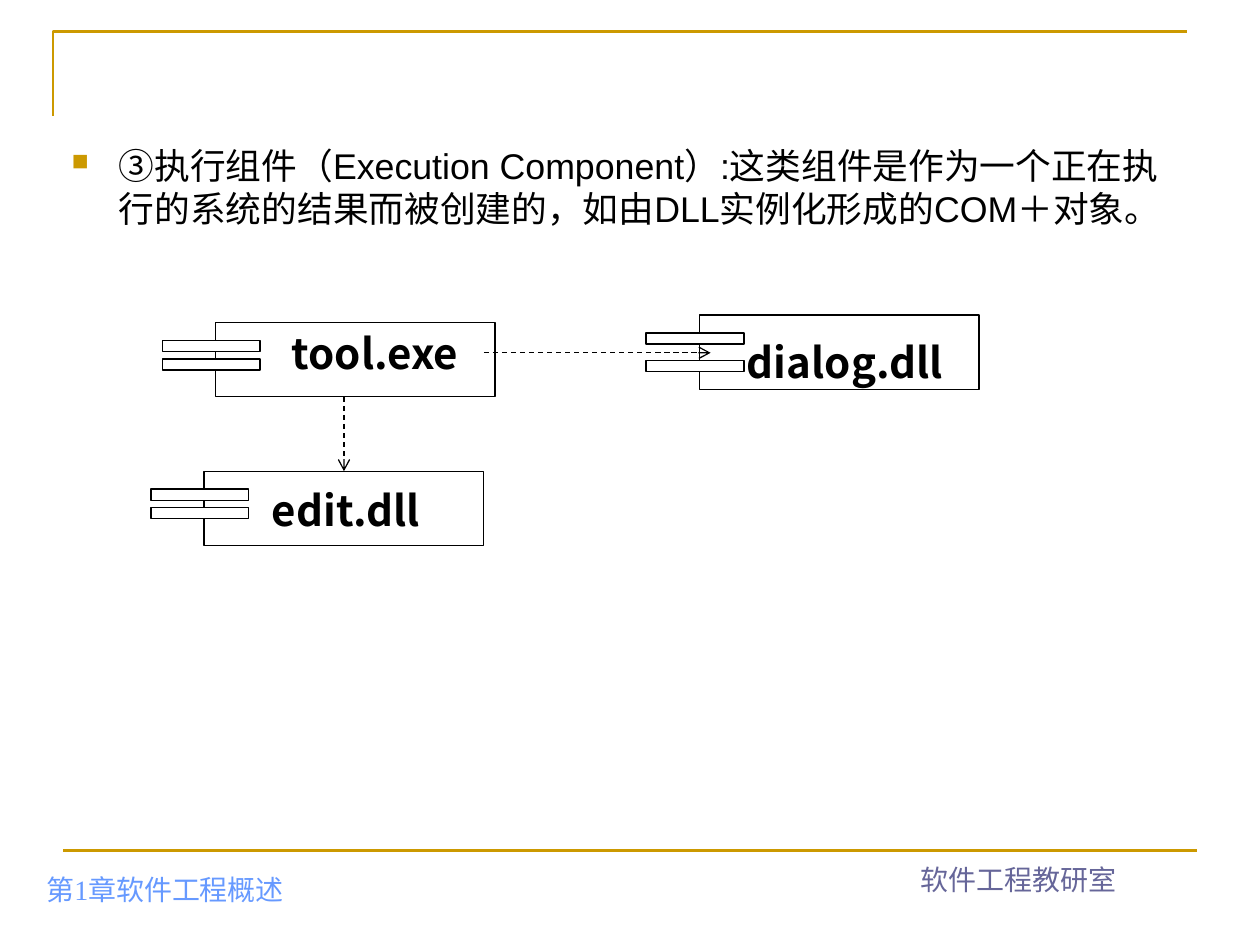
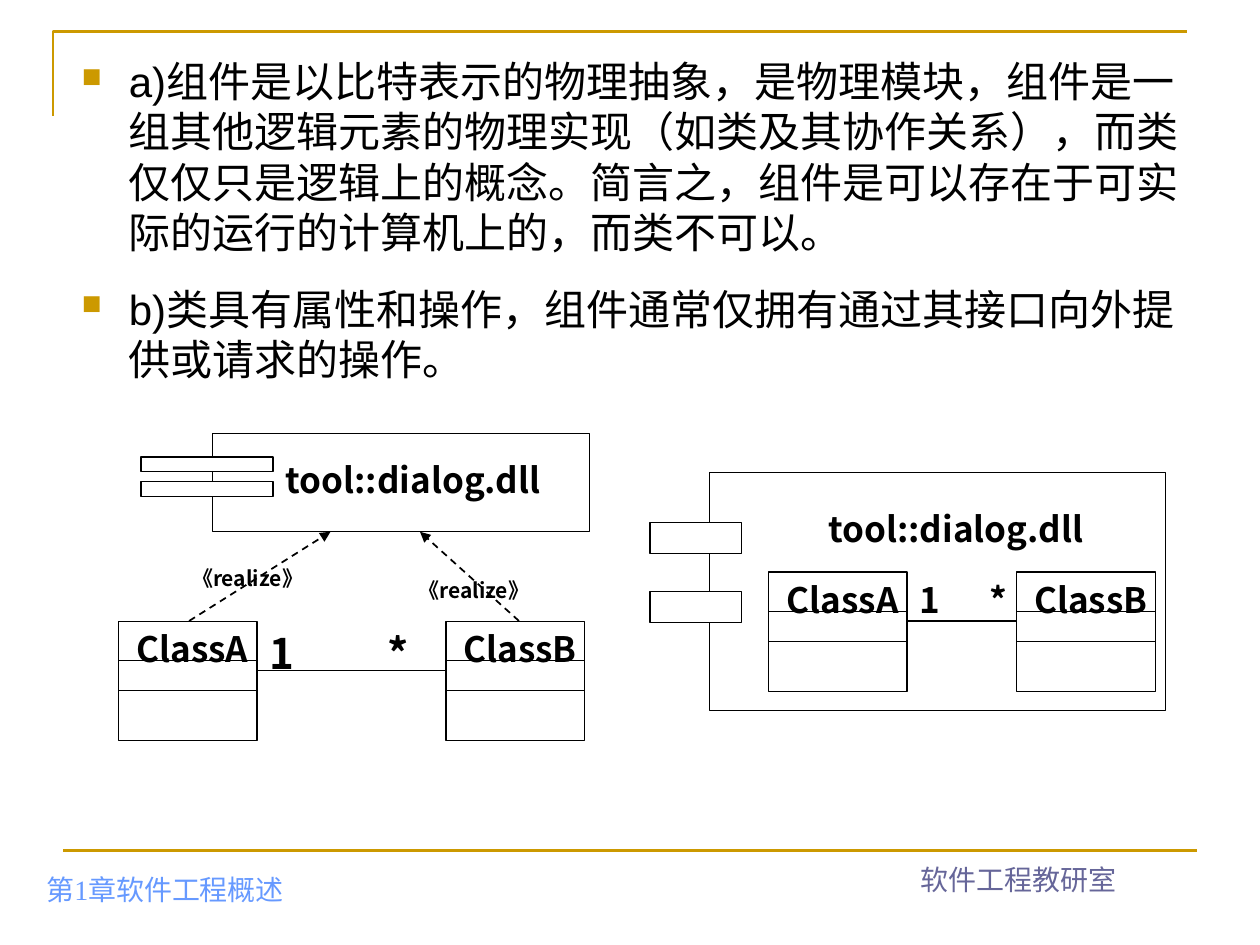
from dataclasses import dataclass

from lxml import etree
from pptx import Presentation
from pptx import util as u
from pptx.dml.color import RGBColor
from pptx.enum import dml, shapes, text
from pptx.oxml import ns

COLUMNS, ROWS = 100, 75
CELL = u.Inches(0.1)  # side of one square grid cell


@dataclass(frozen=True)
class Theme:
    gold: str = "CC9900"
    ink: str = "000000"
    paper: str = "FFFFFF"
    chapter: str = "6699FF"
    department: str = "666699"
    body_font: str = "Arial"
    label_font: str = "Noto Sans CJK SC"
    footer_font: str = "Times New Roman"
    footer_size: float = 16
    small_body_size: float = 20.4
    body_size: float = 24
    large_label: float = 24
    label: float = 20
    small_label: float = 12
    rule: float = 1.5
    outline: float = 0.75
    realize_line: float = 1


THEME = Theme()


@dataclass(frozen=True)
class Box:
    """A region in grid cells."""
    left: float
    top: float
    width: float
    height: float

    def share(self, x, y, width, height):
        return Box(self.left + x * self.width, self.top + y * self.height,
                   width * self.width, height * self.height)

    def point(self, x, y):
        return self.left + x * self.width, self.top + y * self.height

    def lengths(self):
        return cells(self.left, self.top, self.width, self.height)


@dataclass(frozen=True)
class Tabs:
    """The two tabs of a component, as shares of its body."""
    tops: tuple = (0.24, 0.49)
    left: float = -0.19
    width: float = 0.35
    height: float = 0.15


def cells(*counts):
    return [u.Emu(round(count * CELL)) for count in counts]


def colour(code):
    return RGBColor.from_string(code)


def add_element(parent, tag, **attributes):
    return etree.SubElement(parent, ns.qn(tag), attributes)


# Basic parts

def add_rectangle(slide, box, fill=None):
    shape = slide.shapes.add_shape(shapes.MSO_SHAPE.RECTANGLE, *box.lengths())
    shape.shadow.inherit = False
    if fill:
        shape.fill.solid()
        shape.fill.fore_color.rgb = colour(fill)
    else:
        shape.fill.background()
    shape.line.color.rgb = colour(THEME.ink)
    shape.line.width = u.Pt(THEME.outline)


def add_line(slide, start, end, ink=THEME.ink, width=THEME.outline, arrow=None):
    connector = slide.shapes.add_connector(
        shapes.MSO_CONNECTOR.STRAIGHT, *cells(*start, *end))
    connector.line.color.rgb = colour(ink)
    connector.line.width = u.Pt(width)
    properties = connector._element.spPr
    if arrow:
        connector.line.dash_style = dml.MSO_LINE.DASH
        add_element(properties.find(ns.qn("a:ln")), "a:tailEnd", type=arrow)
    add_element(properties, "a:effectLst")


def add_text_frame(slide, box, anchor=text.MSO_ANCHOR.TOP):
    frame = slide.shapes.add_textbox(*box.lengths()).text_frame
    frame.word_wrap = True
    frame.vertical_anchor = anchor
    return frame


def style(paragraph, font, size, ink, bold=False):
    paragraph.font.name = font
    paragraph.font.size = u.Pt(size)
    paragraph.font.color.rgb = colour(ink)
    paragraph.font.bold = bold


def add_label(slide, box, words, size=THEME.label, centred=True, indent=0):
    frame = add_text_frame(slide, box)
    frame.auto_size = text.MSO_AUTO_SIZE.SHAPE_TO_FIT_TEXT
    frame.margin_left += cells(indent)[0]
    paragraph = frame.paragraphs[0]
    paragraph.text = words
    if centred:
        paragraph.alignment = text.PP_ALIGN.CENTER
    style(paragraph, THEME.label_font, size, THEME.ink, bold=True)


# Regions shared by the slides

def add_frame(slide):
    corner = Box(4.2, 2.5, 90, 6.7)
    start, bend, end = (cells(*corner.point(*at)) for at in ((0, 1), (0, 0), (1, 0)))
    builder = slide.shapes.build_freeform(*start)
    builder.add_line_segments([bend, end], close=False)
    outline = builder.convert_to_shape()
    outline.shadow.inherit = False
    outline.fill.background()
    outline.line.color.rgb = colour(THEME.gold)
    outline.line.width = u.Pt(THEME.rule)
    add_line(slide, (5, 67.5), (95, 67.5), THEME.gold, THEME.rule)


def add_footers(slide):
    footers = (
        (Box(2.7, 67.4, 31.5, 5), "第1章软件工程概述", THEME.chapter, text.PP_ALIGN.LEFT),
        (Box(65, 66.6, 31.7, 5), "软件工程教研室", THEME.department, text.PP_ALIGN.CENTER),
    )
    for box, words, ink, alignment in footers:
        paragraph = add_text_frame(slide, box, text.MSO_ANCHOR.BOTTOM).paragraphs[0]
        paragraph.text = words
        paragraph.alignment = alignment
        style(paragraph, THEME.footer_font, THEME.footer_size, ink)


def add_bullets(slide, box, items, size):
    frame = add_text_frame(slide, box)
    for index, words in enumerate(items):
        paragraph = frame.add_paragraph() if index else frame.paragraphs[0]
        paragraph.text = words
        properties = paragraph._p.get_or_add_pPr()
        indent = cells(3.75)[0]
        properties.set("marL", str(indent))
        properties.set("indent", str(-indent))
        add_element(add_element(properties, "a:buClr"), "a:srgbClr", val=THEME.gold)
        add_element(properties, "a:buSzPct", val="65000")
        add_element(properties, "a:buChar", char="■")
        if index:
            paragraph.space_before = u.Pt(15)
        style(paragraph, THEME.body_font, size, THEME.ink)


def new_slide(presentation):
    slide = presentation.slides.add_slide(presentation.slide_layouts[6])
    add_frame(slide)
    add_footers(slide)
    return slide


# UML parts

def add_component(slide, body, tabs=Tabs()):
    add_rectangle(slide, body)
    for top in tabs.tops:
        add_rectangle(slide, body.share(tabs.left, top, tabs.width, tabs.height), THEME.paper)


def add_class(slide, box, name):
    add_rectangle(slide, box)
    add_label(slide, box.share(0, 0, 1.07, 0.46), name)
    for level in (0.33, 0.58):
        add_line(slide, box.point(0, level), box.point(1, level))


def add_class_pair(slide, box, many_at, size):
    """Two classes at the ends of the box, joined one to many."""
    class_width = 11
    class_a = Box(box.left, box.top, class_width, box.height)
    class_b = Box(box.left + box.width - class_width, box.top, class_width, box.height)
    add_class(slide, class_a, "ClassA")
    add_class(slide, class_b, "ClassB")
    add_line(slide, class_a.point(1, 0.41), class_b.point(0, 0.41))
    for mark, left in (("1", class_a.left + class_width), ("*", box.point(many_at, 0)[0])):
        label_height = size / 5 + 0.3
        add_label(slide, Box(left, box.top, 5.5, label_height), mark, size, centred=False)


# Slides

def build_execution_slide(presentation):
    slide = new_slide(presentation)
    add_bullets(slide, Box(4.7, 10.9, 90, 11.7), [
        "③执行组件（Execution Component）:这类组件是作为一个正在执行的系统的结果而被创建的，"
        "如由DLL实例化形成的COM＋对象。"], THEME.small_body_size)

    # Components: name, body corner, label offset, label indent, tabs
    components = (
        ("tool.exe", (17.1, 25.6), (-0.4, -0.1), 3, Tabs()),
        ("edit.dll", (16.2, 37.4), (-1.8, 0.6), 3, Tabs()),
        ("dialog.dll", (55.5, 25), (0, 1.2), 0, Tabs(tops=(0.24, 0.61))),
    )
    for name, (left, top), (right, down), indent, tabs in components:
        add_component(slide, Box(left, top, 22.2, 5.9), tabs)
        add_label(slide, Box(left + right, top + down, 23.1, 5), name,
                  THEME.large_label, indent=indent)

    # Dependencies
    add_line(slide, (27.3, 31.5), (27.3, 37.4), arrow="arrow")
    add_line(slide, (38.4, 28), (56.4, 28), arrow="arrow")


def add_realization(slide, box):
    """A component above the two classes that realize it."""
    body = box.share(0.2, 0, 0.8, 0.32)
    add_component(slide, body)
    add_label(slide, Box(body.left, body.top + 1.5, 31, 5), "tool::dialog.dll", indent=0.8)
    add_class_pair(slide, Box(box.left, box.top + 14.9, 37, 9.5), 0.55, THEME.large_label)
    realizations = (
        ((0.15, 0.61), (0.45, 0.32), (0.13, 0.41)),
        ((0.85, 0.61), (0.64, 0.32), (0.61, 0.45)),
    )
    for start, end, label_at in realizations:
        add_line(slide, box.point(*start), box.point(*end),
                 width=THEME.realize_line, arrow="triangle")
        add_label(slide, Box(*box.point(*label_at), 14.8, 3), "《realize》",
                  THEME.small_label, centred=False)


def add_containment(slide, body):
    """A component drawn around its classes."""
    add_component(slide, body, Tabs(tops=(0.21, 0.5), left=-0.13, width=0.2, height=0.13))
    add_label(slide, Box(body.left + 2.3, body.top + 2.3, 32, 4.4),
              "tool::dialog.dll", indent=2.5)
    add_class_pair(slide, Box(body.left + 4.7, body.top + 7.9, 30.7, 9.5), 0.54, THEME.label)


def build_comparison_slide(presentation):
    slide = new_slide(presentation)
    add_bullets(slide, Box(5.5, 3.9, 90, 28.1), [
        "a)组件是以比特表示的物理抽象，是物理模块，组件是一组其他逻辑元素的物理实现"
        "（如类及其协作关系），而类仅仅只是逻辑上的概念。简言之，组件是可以存在于可实际的"
        "运行的计算机上的，而类不可以。",
        "b)类具有属性和操作，组件通常仅拥有通过其接口向外提供或请求的操作。"],
        THEME.body_size)
    add_realization(slide, Box(9.4, 34.4, 37.4, 24.4))
    add_containment(slide, Box(56.3, 37.5, 36.2, 18.9))


def main():
    presentation = Presentation()
    presentation.slide_width, presentation.slide_height = cells(COLUMNS, ROWS)
    build_execution_slide(presentation)
    build_comparison_slide(presentation)
    presentation.save("out.pptx")


if __name__ == "__main__":
    main()
